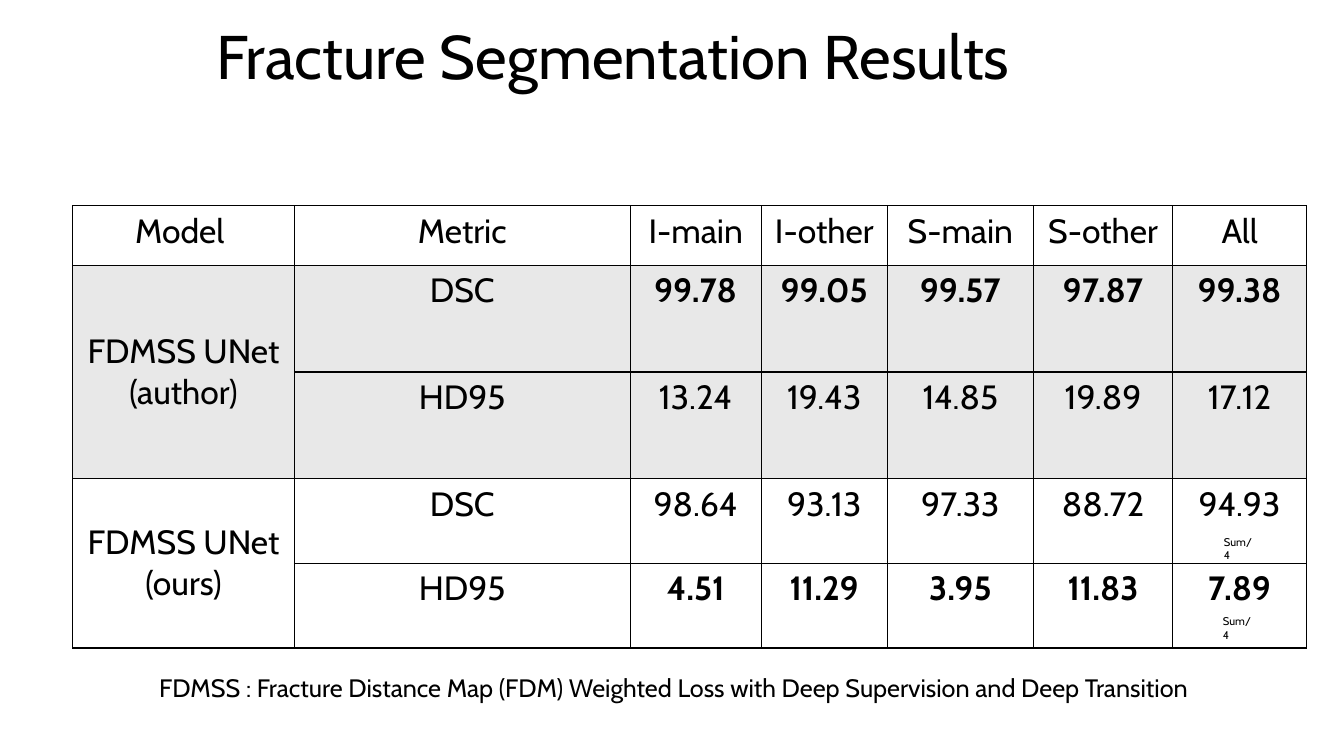
from lxml import etree
from pptx import Presentation
from pptx import util as u
from pptx.dml.color import RGBColor
from pptx.enum import text
from pptx.oxml import ns

COLORS = {"ink": "000000", "band": "E8E8E8", "paper": "FFFFFF"}
COLS = [2.2, 3.33, 1.3, 1.25, 1.45, 1.38, 1.33]
ROWS = [0.59, 1.06, 1.06, 0.84, 0.84]
FILLS = ["paper", "band", "band", "paper", "paper"]
BOLD_ROWS = (1, 4)
RESULTS = [
    ["Model ", "Metric", "I-main", "I-other", "S-main", "S-other", "All"],
    ["FDMSS UNet (author)", "DSC", "99.78", "99.05", "99.57", "97.87", "99.38"],
    ["", "HD95", "13.24", "19.43", "14.85", "19.89", "17.12"],
    ["FDMSS UNet (ours)", "DSC", "98.64", "93.13", "97.33", "88.72", "94.93"],
    ["", "HD95", "4.51", "11.29", "3.95", "11.83", "7.89"],
]


class Deck:
    """Holds the text style and the current slide, and adds elements to it."""

    def __init__(self, prs, font="Cabin"):
        self.font = font
        self.s = prs.slides.add_slide(prs.slide_layouts[5])

    def style(self, p, size, bold=False, align=None):
        p.alignment = align
        p.font.name, p.font.size, p.font.bold = self.font, u.Pt(size), bold
        p.font.color.rgb = RGBColor.from_string(COLORS["ink"])

    def title(self, words, x, y, w, h):
        sp = self.s.shapes.title
        sp.left, sp.top, sp.width, sp.height = map(u.Inches, (x, y, w, h))
        tf = sp.text_frame
        tf.text = words
        tf.vertical_anchor = text.MSO_ANCHOR.MIDDLE
        p = tf.paragraphs[0]
        self.style(p, 44, align=text.PP_ALIGN.CENTER)
        p.line_spacing = 0.9

    def note(self, words, x, y, w, h, size):
        tf = self.s.shapes.add_textbox(*map(u.Inches, (x, y, w, h))).text_frame
        tf.word_wrap = True
        tf.text = words
        self.style(tf.paragraphs[0], size)

    def border(self, cell):
        pr = cell._tc.get_or_add_tcPr()
        for side in ("lnL", "lnR", "lnT", "lnB"):
            ln = etree.SubElement(pr, ns.qn(f"a:{side}"), w=str(u.Pt(1)))
            fill = etree.SubElement(ln, ns.qn("a:solidFill"))
            etree.SubElement(fill, ns.qn("a:srgbClr"), val=COLORS["ink"])

    def table(self, rows, x, y):
        size = (x, y, sum(COLS), sum(ROWS))
        frame = self.s.shapes.add_table(len(ROWS), len(COLS), *map(u.Inches, size))
        tbl = frame.table
        tbl.first_row = tbl.horz_banding = False
        for col, w in zip(tbl.columns, COLS):
            col.width = u.Inches(w)
        for i, values in enumerate(rows):
            tbl.rows[i].height = u.Inches(ROWS[i])
            for j, value in enumerate(values):
                cell = tbl.cell(i, j)
                cell.text = value
                bold = i in BOLD_ROWS and j > 1
                self.style(cell.text_frame.paragraphs[0], 24, bold, text.PP_ALIGN.CENTER)
                self.border(cell)
                cell.fill.solid()
                cell.fill.fore_color.rgb = RGBColor.from_string(COLORS[FILLS[i]])
        for i in (1, 3):
            model = tbl.cell(i, 0)
            model.merge(tbl.cell(i + 1, 0))
            model.vertical_anchor = text.MSO_ANCHOR.MIDDLE


def main():
    prs = Presentation()
    prs.slide_width, prs.slide_height = u.Inches(13.33), u.Inches(7.5)
    deck = Deck(prs)
    deck.title("Fracture Segmentation Results ", 0, -0.13, 12.3, 1.45)
    deck.table(RESULTS, 0.72, 2.04)
    deck.note("FDMSS : Fracture Distance Map (FDM) Weighted Loss with Deep "
              "Supervision and Deep Transition", 1.48, 6.62, 10.71, 0.4, 18)
    for x, y in ((12.04, 5.26), (12.03, 6.05)):
        deck.note("Sum/4", x, y, 0.53, 0.24, 8)
    prs.save("out.pptx")


if __name__ == "__main__":
    main()
